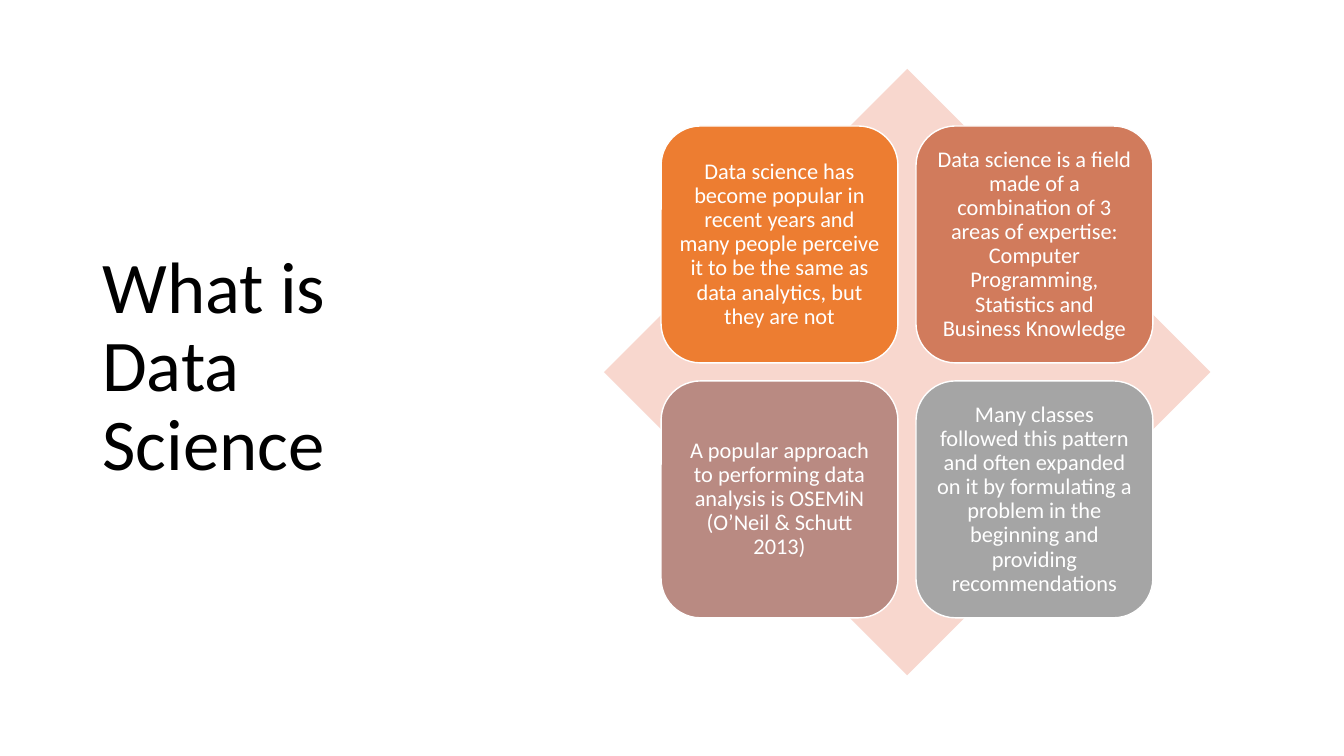
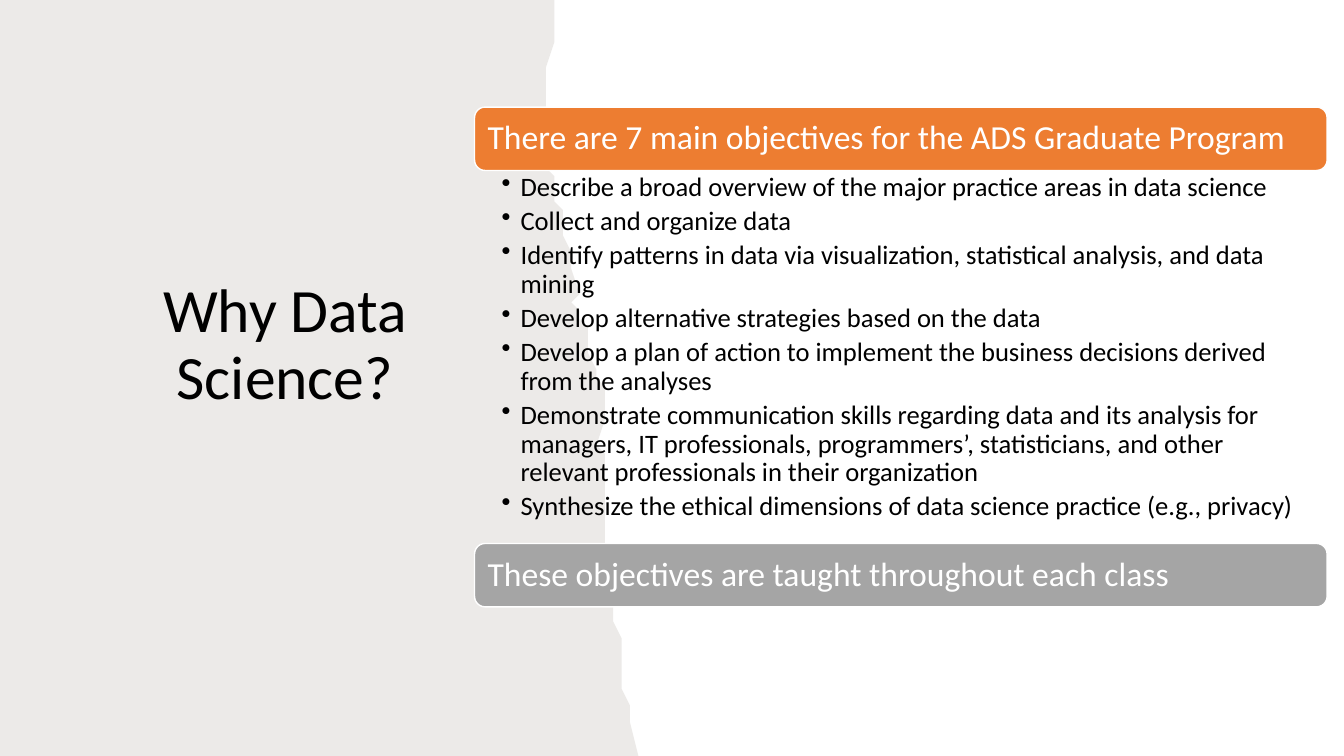
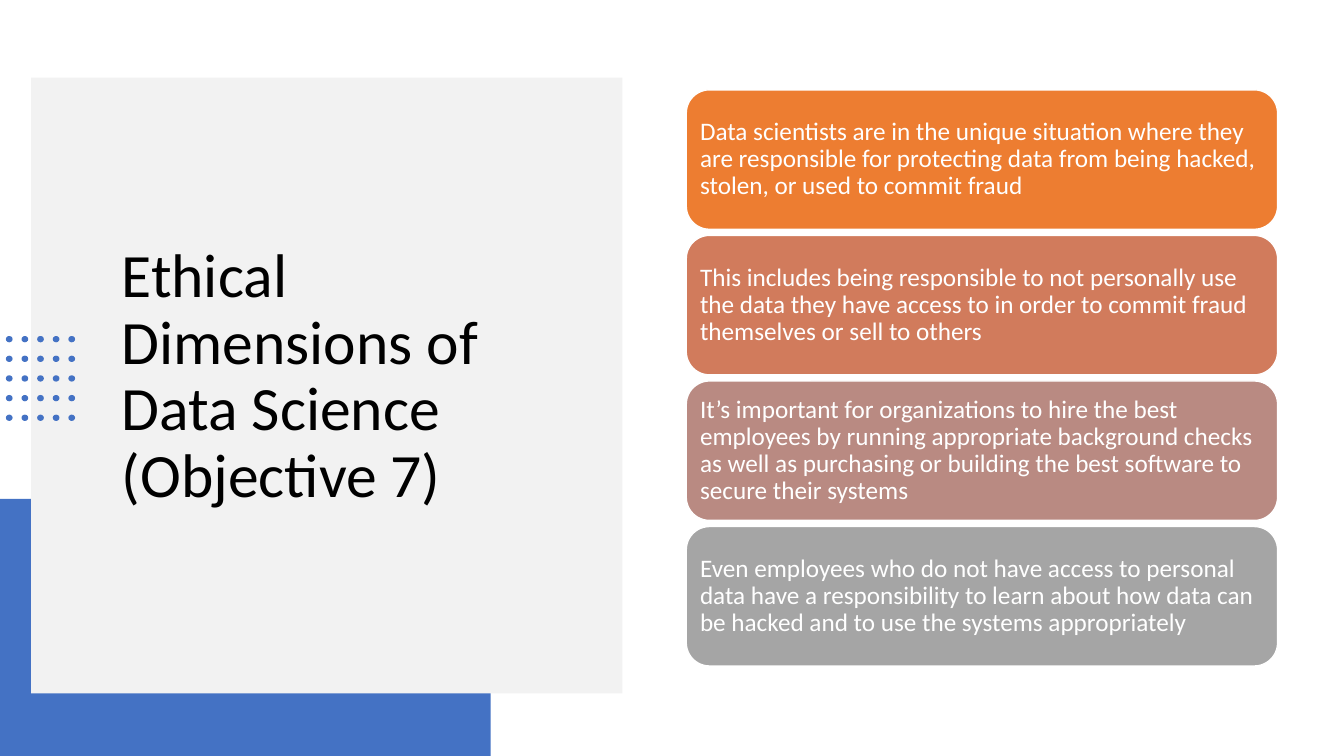
from dataclasses import dataclass
from itertools import product
from typing import Optional

from lxml import etree
from pptx import Presentation
from pptx import util as u
from pptx.dml.color import RGBColor
from pptx.enum import shapes, text
from pptx.oxml import ns

# The slide is a grid of 160 columns by 90 rows of square cells.
COLS, ROWS = 160, 90
CELL = u.Inches(1) / 12

FONT = "Calibri"
BLACK, WHITE = "000000", "FFFFFF"
ORANGE, RUST, ROSE, GREY = "ED7D31", "D17B5C", "B98A82", "A5A5A5"
CARD_COLOURS = (ORANGE, RUST, ROSE, GREY)
PEACH, BLUE, PALE, TAUPE = "F8D7CE", "4472C4", "F2F2F2", "82766A"

SHAPE = shapes.MSO_SHAPE
ALIGN, ANCHOR = text.PP_ALIGN, text.MSO_ANCHOR


@dataclass(frozen=True)
class Box:
    """Left, top, width and height in grid cells."""
    x: float
    y: float
    w: float
    h: float

    def emu(self) -> list[int]:
        return [round(v * CELL) for v in (self.x, self.y, self.w, self.h)]


@dataclass(frozen=True)
class Card:
    box: Box
    colour: str
    words: str


TRENDS = (
    "Data science has become popular in recent years and many people perceive "
    "it to be the same as data analytics, but they are not",
    "Data science is a field made of a combination of 3 areas of expertise: "
    "Computer Programming, Statistics and Business Knowledge",
    "A popular approach to performing data analysis is OSEMiN (O’Neil & Schutt 2013)",
    "Many classes followed this pattern and often expanded on it by formulating "
    "a problem in the beginning and providing recommendations",
)

OBJECTIVES = (
    "Describe a broad overview of the major practice areas in data science",
    "Collect and organize data",
    "Identify patterns in data via visualization, statistical analysis, and data mining",
    "Develop alternative strategies based on the data",
    "Develop a plan of action to implement the business decisions derived from the analyses",
    "Demonstrate communication skills regarding data and its analysis for managers, "
    "IT professionals, programmers’, statisticians, and other relevant professionals "
    "in their organization",
    "Synthesize the ethical dimensions of data science practice (e.g., privacy)",
)

ETHICS = (
    "Data scientists are in the unique situation where they are responsible for "
    "protecting data from being hacked, stolen, or used to commit fraud",
    "This includes being responsible to not personally use the data they have "
    "access to in order to commit fraud themselves or sell to others",
    "It’s important for organizations to hire the best employees by running "
    "appropriate background checks as well as purchasing or building the best "
    "software to secure their systems",
    "Even employees who do not have access to personal data have a responsibility "
    "to learn about how data can be hacked and to use the systems appropriately",
)

TORN_EDGE = (
    (65.9, 0), (65.6, 2.6), (65.5, 5.4), (65.3, 7.7), (64.8, 10.6), (64.8, 11.5),
    (64.6, 12.4), (64.7, 13.1), (64.9, 14), (64.7, 16.2), (64.7, 18.1), (64.8, 19.2),
    (65.3, 20.5), (65.6, 21.4), (65.9, 22.3), (66.1, 24), (66.6, 24.7), (66.6, 26),
    (67, 27.8), (67.7, 29.6), (68.2, 30.6), (68.3, 32.3), (68.6, 34.8), (68.5, 36.2),
    (68.9, 37.2), (69.4, 37.7), (69.5, 38.9), (70, 40.1), (70.4, 42), (71, 44.3),
    (71.3, 45.1), (71.5, 46.2), (71.6, 48.6), (71.6, 50.4), (71.4, 52.7), (71.6, 53.8),
    (71.6, 58.1), (72, 59.3), (71.8, 61.2), (71.5, 61.9), (71.6, 62.9), (72.1, 64.1),
    (72.4, 65.2), (72.4, 67.3), (72.6, 68.3), (72.5, 69), (72.8, 70.3), (73.1, 72.7),
    (73.4, 74), (73.9, 76.1), (73.8, 77.2), (73.9, 78.5), (74, 80.3), (74.2, 81.8),
    (74.8, 83.5), (75.1, 86), (76.2, ROWS),
)


def rgb(colour: str) -> RGBColor:
    return RGBColor.from_string(colour)


def paint(sp, fill: str, line: Optional[str] = None, alpha: Optional[int] = None):
    """Set fill and outline; alpha is the fill's opacity in percent."""
    sp.shadow.inherit = False
    sp.fill.solid()
    sp.fill.fore_color.rgb = rgb(fill)
    if alpha is not None:
        clr = sp.fill._xPr.find(".//" + ns.qn("a:srgbClr"))
        etree.SubElement(clr, ns.qn("a:alpha"), val=str(alpha * 1000))
    if line:
        sp.line.color.rgb = rgb(line)
        sp.line.width = u.Pt(1)
    else:
        sp.line.fill.background()
    return sp


def add_shape(s, kind, box: Box, fill: str, line: Optional[str] = None):
    return paint(s.shapes.add_shape(kind, *box.emu()), fill, line)


def write(sp, *paragraphs: str, size: float, colour: str = BLACK, align=ALIGN.LEFT,
          anchor=ANCHOR.MIDDLE, insets=(7.2, 3.6, 7.2, 3.6), after: float = 0,
          bullet_indent: float = 0) -> None:
    """Fill a shape with paragraphs; insets (left, top, right, bottom) are in points."""
    tf = sp.text_frame
    tf.word_wrap = True
    tf.auto_size = text.MSO_AUTO_SIZE.NONE
    tf.vertical_anchor = anchor
    tf.margin_left, tf.margin_top, tf.margin_right, tf.margin_bottom = map(u.Pt, insets)
    for i, words in enumerate(paragraphs):
        p = tf.add_paragraph() if i else tf.paragraphs[0]
        p.text = words
        p.alignment = align
        p.line_spacing = 0.9
        p.space_after = u.Pt(after)
        for r in p.runs:
            r.font.name = FONT
            r.font.size = u.Pt(size)
            r.font.color.rgb = rgb(colour)
        if bullet_indent:
            pPr = p._p.get_or_add_pPr()
            indent = u.Pt(bullet_indent)
            pPr.set("marL", str(indent))
            pPr.set("indent", str(-indent))
            etree.SubElement(pPr, ns.qn("a:buChar"), char="•")


def add_text(s, box: Box, *paragraphs: str, **fmt) -> None:
    write(s.shapes.add_textbox(*box.emu()), *paragraphs, **fmt)


def add_card(s, card: Card, size: float, align=ALIGN.LEFT, inset: float = 5) -> None:
    sp = add_shape(s, SHAPE.ROUNDED_RECTANGLE, card.box, card.colour, WHITE)
    write(sp, card.words, size=size, colour=WHITE, align=align, insets=(inset,) * 4)


def what_slide(s) -> None:
    add_text(s, Box(11, 7.3, 44.3, 73.1), "What is Data Science", size=52)
    add_shape(s, SHAPE.DIAMOND, Box(71.9, 8.2, 72.2, 72.2), PEACH)
    side, step = 28.2, 30.35
    for (row, col), colour, words in zip(product(range(2), repeat=2), CARD_COLOURS, TRENDS):
        box = Box(78.7 + col * step, 15 + row * step, side, side)
        add_card(s, Card(box, colour, words), size=16, align=ALIGN.CENTER)


def why_slide(s) -> None:
    fb = s.shapes.build_freeform(0, 0, scale=CELL)
    fb.add_line_segments([*TORN_EDGE, (0, ROWS)], close=True)
    paint(fb.convert_to_shape(), TAUPE, alpha=15)
    add_text(s, Box(10.2, 13, 47.5, 36.7), "Why Data Science?", size=44,
             align=ALIGN.CENTER, anchor=ANCHOR.BOTTOM)
    left, width, bar_height = 56.5, 101.5, 7.55
    bars = (
        Card(Box(left, 12.75, width, bar_height), ORANGE,
             "There are 7 main objectives for the ADS Graduate Program"),
        Card(Box(left, 64.7, width, bar_height), GREY,
             "These objectives are taught throughout each class"),
    )
    for bar in bars:
        add_card(s, bar, size=24, inset=7.2)
    add_text(s, Box(left, 20.3, width, 44.3), *OBJECTIVES, size=19, anchor=ANCHOR.TOP,
             insets=(19.4, 2.2, 13.7, 2.2), after=3.8, bullet_indent=13.5)


def ethics_slide(s) -> None:
    add_shape(s, SHAPE.RECTANGLE, Box(0, 59.4, 58.4, ROWS - 59.4), BLUE)
    add_shape(s, SHAPE.RECTANGLE, Box(3.7, 9.25, 70.4, 73.3), PALE)
    add_text(s, Box(13.3, 17.6, 55.1, 54.7),
             "Ethical Dimensions of Data Science\v(Objective 7)", size=44)
    for col, row in product(range(5), repeat=2):
        add_shape(s, SHAPE.OVAL, Box(0.7 + col * 1.86, 40 + row * 2.34, 0.8, 0.75), BLUE)
    for i, (colour, words) in enumerate(zip(CARD_COLOURS, ETHICS)):
        add_card(s, Card(Box(81.7, 10.7 + i * 17.33, 70.4, 16.6), colour, words), size=18)


def main() -> None:
    prs = Presentation()
    prs.slide_width, prs.slide_height = round(COLS * CELL), round(ROWS * CELL)
    blank = prs.slide_layouts[6]
    for build in (what_slide, why_slide, ethics_slide):
        build(prs.slides.add_slide(blank))
    prs.save("out.pptx")


if __name__ == "__main__":
    main()
